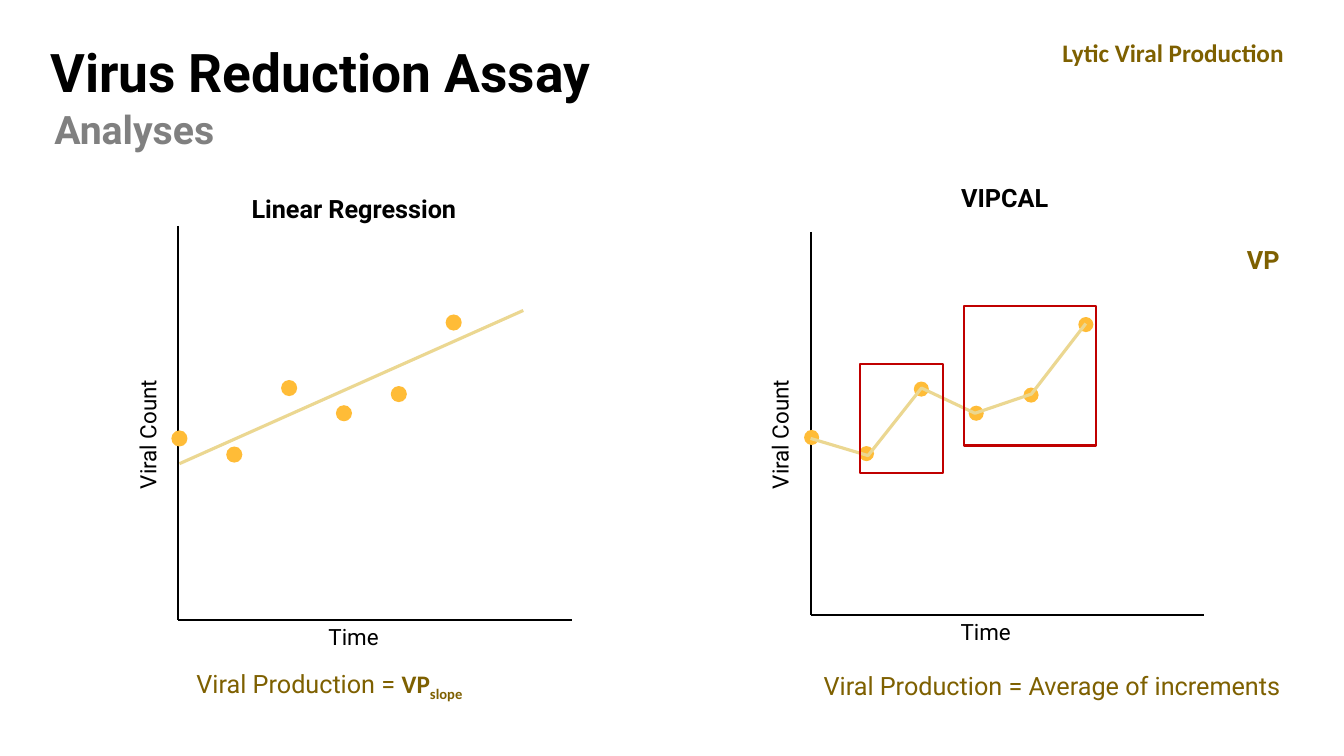
from pptx import Presentation
from pptx.dml.color import RGBColor
from pptx.enum.shapes import MSO_CONNECTOR as Connector, MSO_SHAPE as Shape
from pptx.enum.text import MSO_ANCHOR as Anchor, PP_ALIGN as Align
from pptx.oxml.ns import qn
from pptx.util import Inches, Pt
from lxml.etree import SubElement

BLACK, GREY, OLIVE = "000000", "808080", "7E6000"
DOT, TREND, INCREMENT = "FFBC37", "EBD791", "C00000"

HEADINGS = [
    ("Virus Reduction Assay", (0.4, 0.32), 38, BLACK),
    ("Analyses", (0.44, 0.81), 28, GREY),
]
LABELS = [
    ("Linear Regression", (2.3, 1.87, 2.42, 0.4), BLACK, "Roboto"),
    ("VIPCAL", (9.11, 1.76, 1.71, 0.4), BLACK, "Roboto"),
    ("Lytic Viral Production", (10.32, 0.32, 2.63, 0.4), OLIVE, "Calibri"),
    ("VP", (12.11, 2.37, 0.84, 0.4), OLIVE, "Roboto"),
]
PLOTS = [
    {"origin": (1.77, 6.15), "top": 2.24, "dot": 0.16,
     "counts": [4.35, 4.51, 3.85, 4.1, 3.91, 3.2]},
    {"origin": (8.04, 6.1), "top": 2.3, "dot": 0.15,
     "counts": [4.34, 4.5, 3.86, 4.1, 3.92, 3.22]},
]
AXIS_LENGTH, TIME_STEP = 3.9, 0.544
REGRESSION = (1.78, 4.6, 5.19, 3.08)
VIPCAL_PATH = [(8.04, 4.35), (8.61, 4.52), (9.14, 3.85),
               (9.67, 4.1), (10.23, 3.91), (10.77, 3.21)]
INCREMENT_BOXES = [(8.53, 3.61, 0.82, 1.08), (9.56, 3.04, 1.31, 1.38)]

deck = Presentation()
deck.slide_width, deck.slide_height = Inches(13.33), Inches(7.5)
slide = deck.slides.add_slide(deck.slide_layouts[6])
shapes = slide.shapes


def color(hex_code):
    return RGBColor.from_string(hex_code)


def add_run(paragraph, text, size, ink, face="Roboto", bold=False, baseline=0):
    run = paragraph.add_run()
    run.text = text
    run.font.size, run.font.name, run.font.bold = Pt(size), face, bold
    run.font.color.rgb = color(ink)
    if baseline:
        run.font._element.set("baseline", str(baseline * 1000))


def add_text(text, at, size=18, ink=BLACK, face="Roboto", bold=False,
             align=Align.LEFT, anchor=Anchor.TOP, wrap=True, rotation=0,
             line_spacing=None, after=None):
    box = shapes.add_textbox(*map(Inches, at))
    box.rotation = rotation
    frame = box.text_frame
    frame.word_wrap, frame.vertical_anchor = wrap, anchor
    paragraph = frame.paragraphs[0]
    paragraph.alignment = align
    if line_spacing:
        paragraph.line_spacing = line_spacing
    if after:
        paragraph.space_after = Pt(after)
    add_run(paragraph, text, size, ink, face, bold)
    return paragraph


def add_line(ends, ink, width):
    line = shapes.add_connector(Connector.STRAIGHT, *map(Inches, ends))
    line.line.color.rgb, line.line.width = color(ink), Pt(width)
    SubElement(line._element.spPr, qn("a:effectLst"))


def style(shape, fill=None, ink=None, width=0):
    shape.shadow.inherit = False
    if fill:
        shape.fill.solid()
        shape.fill.fore_color.rgb = color(fill)
    else:
        shape.fill.background()
    if ink:
        shape.line.color.rgb, shape.line.width = color(ink), Pt(width)
    else:
        shape.line.fill.background()


def add_plot(origin, top, dot, counts):
    left, base = origin
    add_line((left, top, left, base), BLACK, 1.42)
    add_line((left, base, left + AXIS_LENGTH, base), BLACK, 1.42)
    add_text("Time", (left + 1.39, base - 0.02, 0.7, 0.37), size=16, wrap=False)
    add_text("Viral Count", (left - 0.97, 4.1, 1.33, 0.37), size=16,
             wrap=False, rotation=270)
    for i, count in enumerate(counts):
        x = left + 0.01 + i * TIME_STEP
        at = (x - dot / 2, count - dot / 2, dot, dot)
        style(shapes.add_shape(Shape.OVAL, *map(Inches, at)), fill=DOT)


add_line(REGRESSION, TREND, 2.25)
for plot in PLOTS:
    add_plot(**plot)

vertices = [(Inches(x), Inches(y)) for x, y in VIPCAL_PATH]
builder = shapes.build_freeform(*vertices[0])
builder.add_line_segments(vertices[1:], close=False)
style(builder.convert_to_shape(), ink=TREND, width=2.25)

for text, at, ink, face in LABELS:
    add_text(text, at, ink=ink, face=face, bold=True, align=Align.CENTER)

slope = add_text("Viral Production = ", (1.85, 6.58, 3.41, 0.4), ink=OLIVE)
add_run(slope, "VP", 18, OLIVE, "Calibri", True)
add_run(slope, "slope", 18, OLIVE, "Calibri", True, baseline=-25)
add_text("Viral Production = Average of increments", (8.07, 6.6, 5.09, 0.4), ink=OLIVE)

for at in INCREMENT_BOXES:
    style(shapes.add_shape(Shape.RECTANGLE, *map(Inches, at)), ink=INCREMENT, width=1.5)

for text, corner, size, ink in HEADINGS:
    add_text(text, (*corner, 6.02, 0.76), size=size, ink=ink, bold=True,
             anchor=Anchor.BOTTOM, line_spacing=0.9, after=6)

deck.save("out.pptx")
